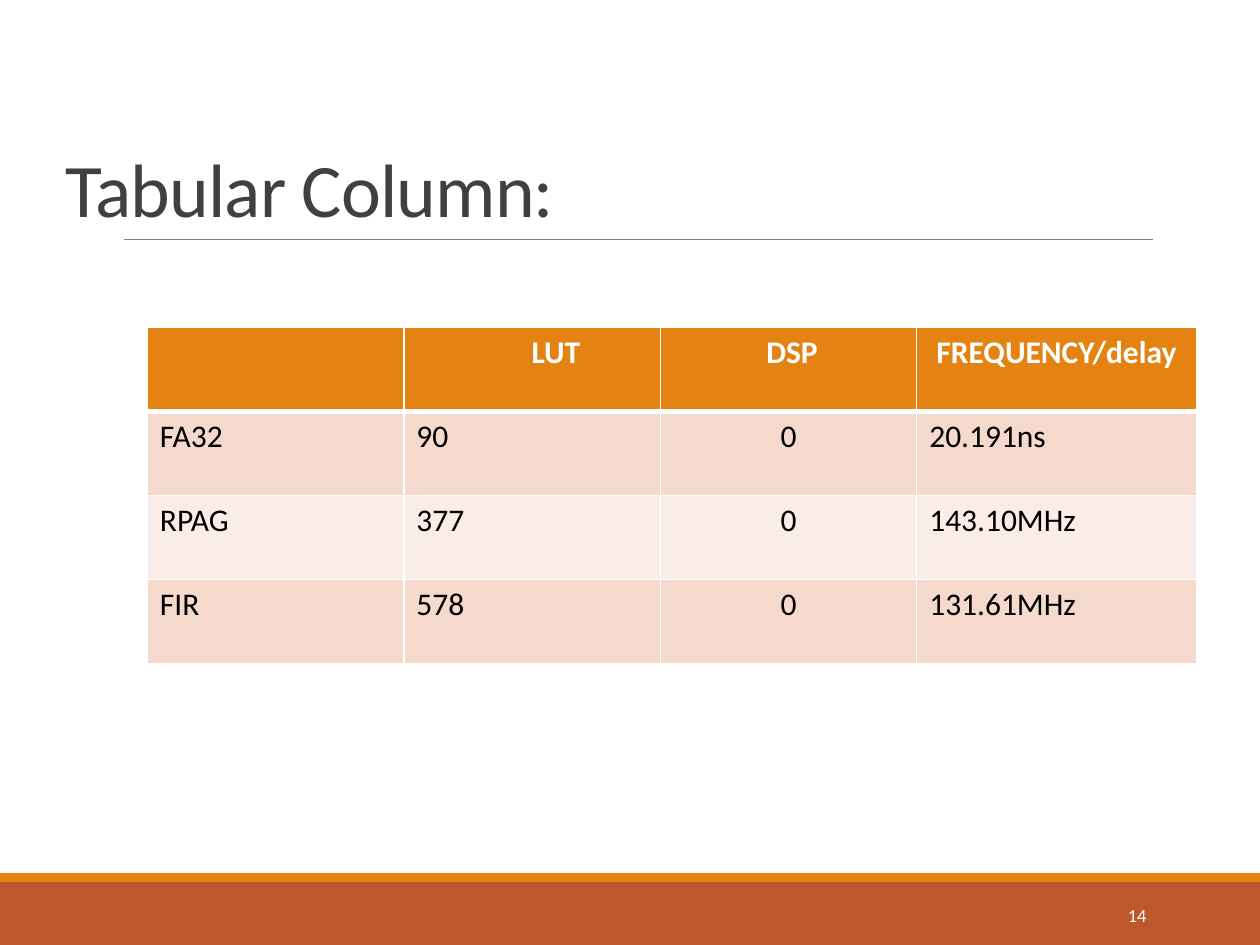
from lxml import etree
from pptx import Presentation
from pptx import util as u
from pptx.dml.color import RGBColor
from pptx.enum import shapes, text
from pptx.oxml.ns import qn


def colour(value):
    return RGBColor.from_string(value)


def apply(target, values):
    for name, value in values.items():
        setattr(target, name, value)


class SlideBuilder:
    font = "Calibri"
    orange, rust, white = "E48312", "BD582C", "FFFFFF"
    bands = ("F5D9CC", "FAEDE7")

    def __init__(self, slide):
        self.slide = slide

    def add_words(self, frame, wording, ink, para_format, font_format):
        para = frame.paragraphs[0]
        apply(para, para_format)
        span = para.add_run()
        span.text = wording
        apply(span.font, {"name": self.font, **font_format})
        span.font.color.rgb = colour(ink)
        return span

    def bar(self, top, height, fill):
        box = self.slide.shapes.add_shape(
            shapes.MSO_SHAPE.RECTANGLE, 0, u.Cm(top), u.Cm(25.4), u.Cm(height))
        box.shadow.inherit = False
        box.fill.solid()
        box.fill.fore_color.rgb = colour(fill)
        box.line.fill.background()

    def rule(self, left, right, top, ink):
        line = self.slide.shapes.add_connector(
            shapes.MSO_CONNECTOR.STRAIGHT, u.Cm(left), u.Cm(top), u.Cm(right), u.Cm(top))
        line.line.color.rgb = colour(ink)
        line.line.width = u.Pt(0.5)
        etree.SubElement(line._element.spPr, qn("a:effectLst"))

    def label(self, place, wording, ink, anchor, para_format, size):
        box = self.slide.shapes.add_textbox(*map(u.Cm, place))
        apply(box.text_frame, {"word_wrap": True, "vertical_anchor": anchor})
        return self.add_words(box.text_frame, wording, ink, para_format, {"size": u.Pt(size)})

    def borders(self, cell, widths):
        properties = cell._tc.get_or_add_tcPr()
        for index, (side, width) in enumerate(widths.items()):
            line = etree.Element(qn(f"a:ln{side}"), w=str(u.Pt(width)))
            fill = etree.SubElement(line, qn("a:solidFill"))
            etree.SubElement(fill, qn("a:srgbClr"), val=self.white)
            properties.insert(index, line)

    def table(self, place, widths, rows, centred):
        frame = self.slide.shapes.add_table(len(rows), len(widths), *map(u.Cm, place))
        table = frame.table
        for column, width in zip(table.columns, widths):
            column.width = u.Cm(width)
        for row, values in enumerate(rows):
            header = row == 0
            for column, wording in enumerate(values):
                cell = table.cell(row, column)
                cell.fill.solid()
                cell.fill.fore_color.rgb = colour(
                    self.orange if header else self.bands[(row - 1) % 2])
                self.borders(cell, {"L": 1, "R": 1, "T": 3 if row == 1 else 1,
                                    "B": 3 if header else 1})
                if wording:
                    middle = (row, column) in centred
                    align = text.PP_ALIGN.CENTER if middle else text.PP_ALIGN.LEFT
                    self.add_words(cell.text_frame, wording, self.white if header else "000000",
                                   {"alignment": align}, {"size": u.Pt(18), "bold": header})
        return table


def main():
    deck = Presentation()
    apply(deck, {"slide_width": u.Cm(25.4), "slide_height": u.Cm(19.05)})
    page = SlideBuilder(deck.slides.add_slide(deck.slide_layouts[6]))

    page.bar(17.78, 1.27, page.rust)
    page.bar(17.6, 0.18, page.orange)
    page.rule(2.49, 23.24, 4.83, "808080")
    title = page.label((1.07, 2.97, 22.17, 1.85), "Tabular Column:", "404040",
                       text.MSO_ANCHOR.BOTTOM, {"line_spacing": 0.85}, 43.2)
    title.font._element.set("spc", "-50")

    rows = [
        ("", "LUT", " DSP", " FREQUENCY/delay"),
        ("FA32", "90", "0", "20.191ns"),
        ("RPAG", "377", "0", "143.10MHz"),
        ("FIR", "578", "0", "131.61MHz"),
    ]
    centred = {(0, 1)} | {(row, 2) for row in range(len(rows))}
    table = page.table((2.97, 6.6, 21.17, 6.78), (5.17, 5.17, 5.17, 5.65), rows, centred)
    table.cell(0, 1).margin_left = u.Cm(1.22)

    page.label((20.62, 17.93, 2.74, 1.02), "14", page.white, text.MSO_ANCHOR.MIDDLE,
               {"alignment": text.PP_ALIGN.RIGHT}, 10.5)
    deck.save("out.pptx")


if __name__ == "__main__":
    main()
